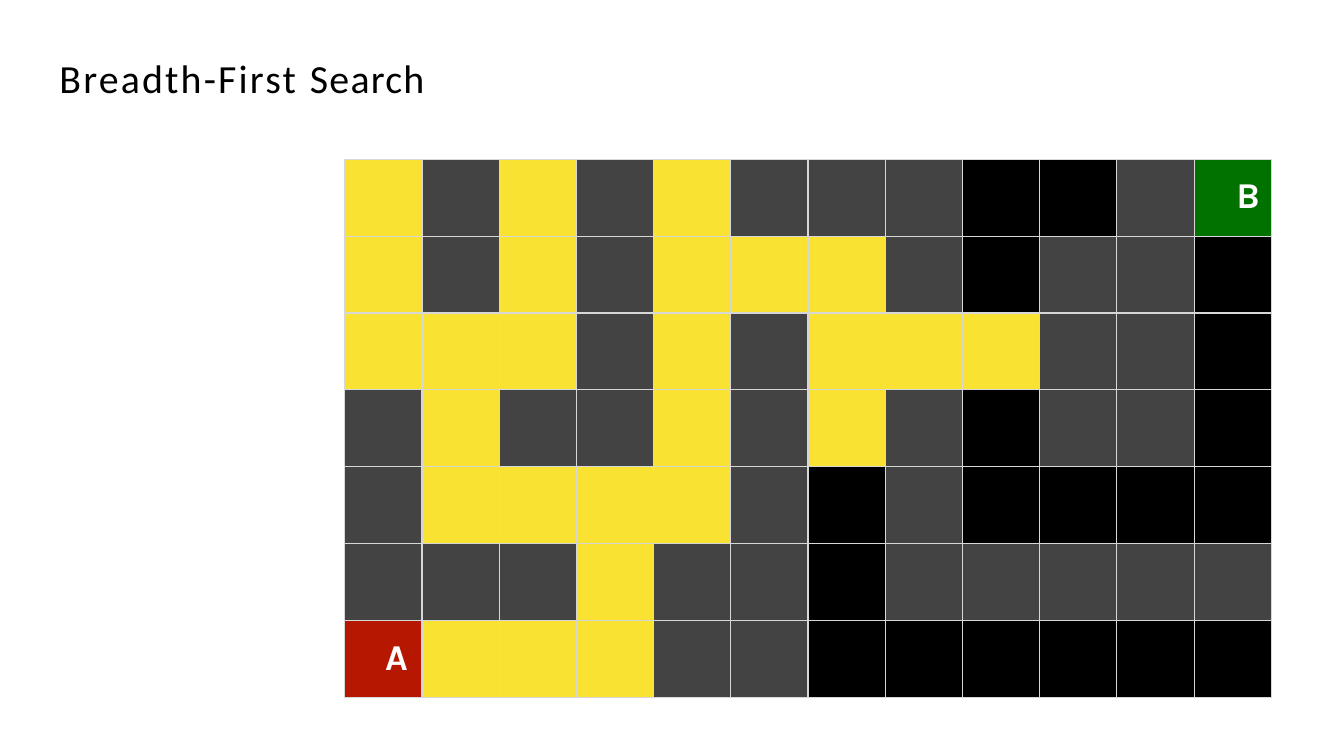
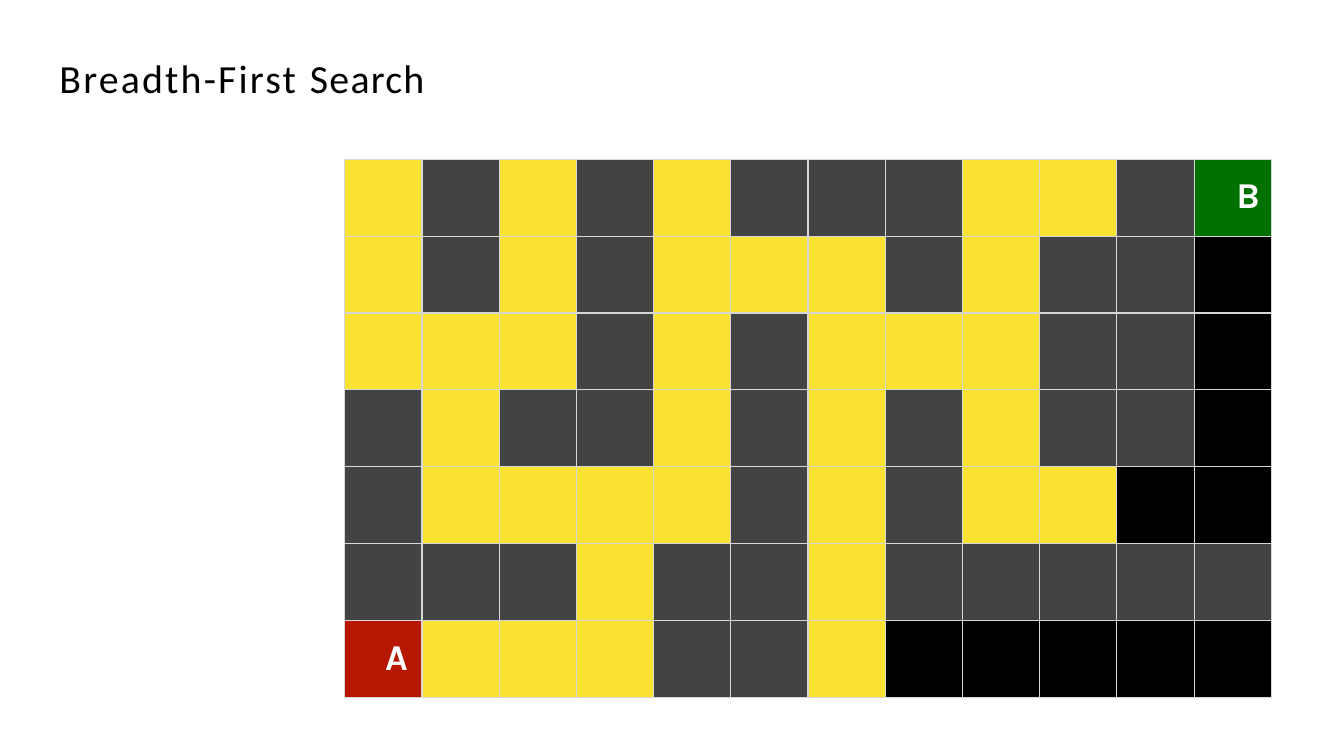
from dataclasses import dataclass

from lxml import etree
from pptx import Presentation
from pptx.dml.color import RGBColor
from pptx.enum.text import MSO_ANCHOR, MSO_AUTO_SIZE, PP_ALIGN
from pptx.oxml.ns import qn
from pptx.util import Inches, Pt

MIDDLE = MSO_ANCHOR.MIDDLE
TOP = MSO_ANCHOR.TOP
LEFT = PP_ALIGN.LEFT
FIT_SHAPE = MSO_AUTO_SIZE.SHAPE_TO_FIT_TEXT
TITLE_ONLY = 5


@dataclass(frozen=True)
class Theme:
    title_font: str = "Calibri"
    title_size: float = 28.5
    label_font: str = "Karla"
    label_size: float = 26
    text: str = "000000"
    label: str = "FFFFFF"
    wall: str = "434343"
    unexplored: str = "000000"
    explored: str = "FAE232"
    start: str = "B51700"
    goal: str = "017100"
    grid: str = "D6D7D6"
    grid_width: float = 1


THEME = Theme()

# Wall "#", open ".", start "A", goal "B"; a digit is the step that explores the cell
MAZE = [
    "1#1#1###22#B",
    "1#1#111#2##.",
    "111#1#111##.",
    "#1##1#1#2##.",
    "#1111#2#22..",
    "###1##2#####",
    "A111##2.....",
]
FILLS = {"#": THEME.wall, ".": THEME.unexplored, "A": THEME.start, "B": THEME.goal}
LABEL_INDENT = {"A": 0.4, "B": 0.42}
# Title runs with their letter spacing in points
TITLE_RUNS = [("Breadth-First ", 1.6), ("Search", 0.9)]


def style_font(p, name, size, color, bold=False):
    p.font.name = name
    p.font.size = Pt(size)
    p.font.bold = bold
    p.font.color.rgb = RGBColor.from_string(color)


def add_title(slide):
    sp = slide.shapes.title
    sp.left, sp.top, sp.width, sp.height = map(Inches, (0.58, 0.52, 4.05, 0.49))
    tf = sp.text_frame
    tf.margin_left = tf.margin_top = Inches(0.01)
    tf.margin_right = tf.margin_bottom = 0
    tf.vertical_anchor = MIDDLE
    tf.word_wrap = True
    tf.auto_size = FIT_SHAPE
    p = tf.paragraphs[0]
    p.alignment = LEFT
    style_font(p, THEME.title_font, THEME.title_size, THEME.text)
    for text, spacing in TITLE_RUNS:
        r = p.add_run()
        r.text = text
        r.font._element.set("spc", str(round(spacing * 100)))


def add_borders(cell):
    tc_pr = cell._tc.get_or_add_tcPr()
    for side in ("a:lnL", "a:lnR", "a:lnT", "a:lnB"):
        ln = etree.SubElement(tc_pr, qn(side), w=str(Pt(THEME.grid_width)))
        fill = etree.SubElement(ln, qn("a:solidFill"))
        etree.SubElement(fill, qn("a:srgbClr"), val=THEME.grid)


def cell_fill(mark, step):
    if mark.isdigit():
        return THEME.explored if int(mark) <= step else THEME.unexplored
    return FILLS[mark]


def add_label(cell, mark):
    cell.margin_left = Inches(LABEL_INDENT[mark])
    cell.margin_top = Inches(0.16)
    cell.margin_right = cell.margin_bottom = 0
    cell.vertical_anchor = TOP
    p = cell.text_frame.paragraphs[0]
    p.text = mark
    p.alignment = LEFT
    style_font(p, THEME.label_font, THEME.label_size, THEME.label, bold=True)


def add_maze(slide, step):
    table = slide.shapes.add_table(
        len(MAZE), len(MAZE[0]), Inches(3.42), Inches(1.58), Inches(9.19), Inches(5.34)
    ).table
    table.first_row = table.horz_banding = False
    for i, row in enumerate(MAZE):
        for j, mark in enumerate(row):
            cell = table.cell(i, j)
            add_borders(cell)
            cell.fill.solid()
            cell.fill.fore_color.rgb = RGBColor.from_string(cell_fill(mark, step))
            if mark in LABEL_INDENT:
                add_label(cell, mark)


def main():
    prs = Presentation()
    prs.slide_width, prs.slide_height = Inches(13.33), Inches(7.5)
    for step in (1, 2):
        slide = prs.slides.add_slide(prs.slide_layouts[TITLE_ONLY])
        add_title(slide)
        add_maze(slide, step)
    prs.save("out.pptx")


if __name__ == "__main__":
    main()
